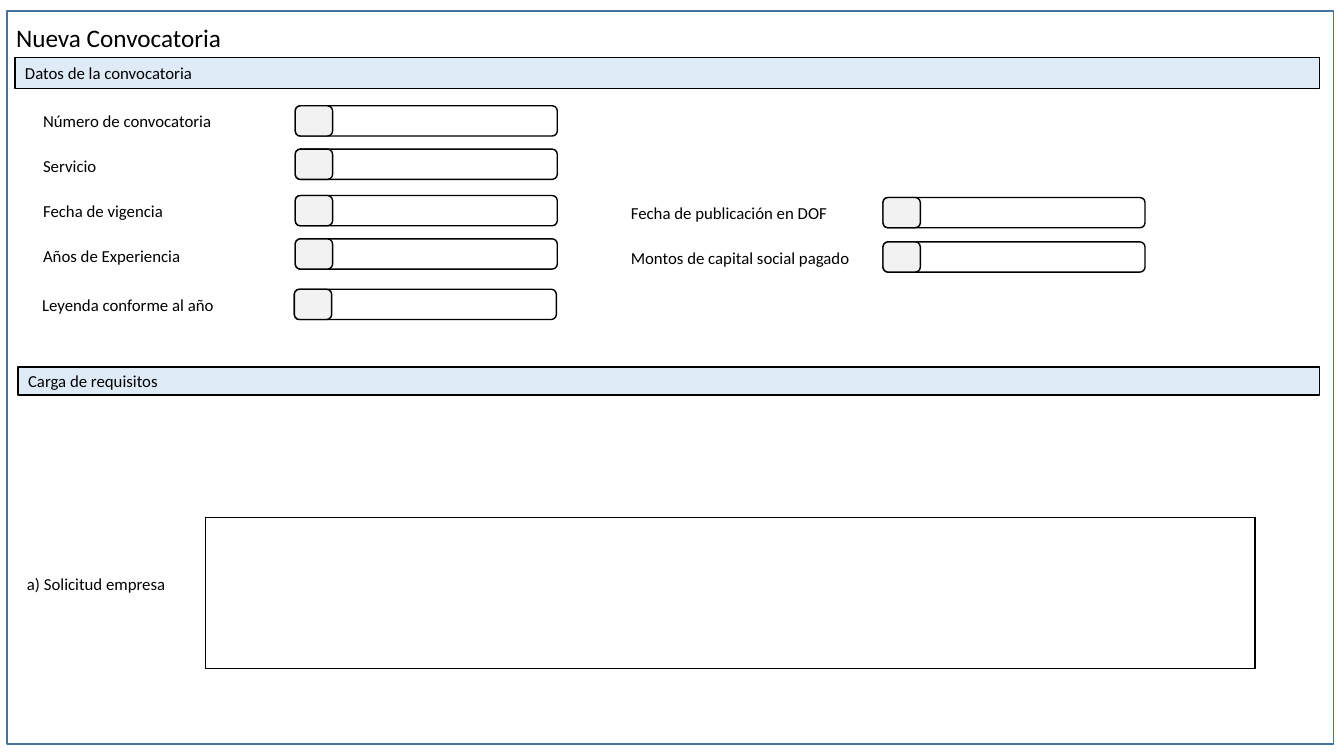
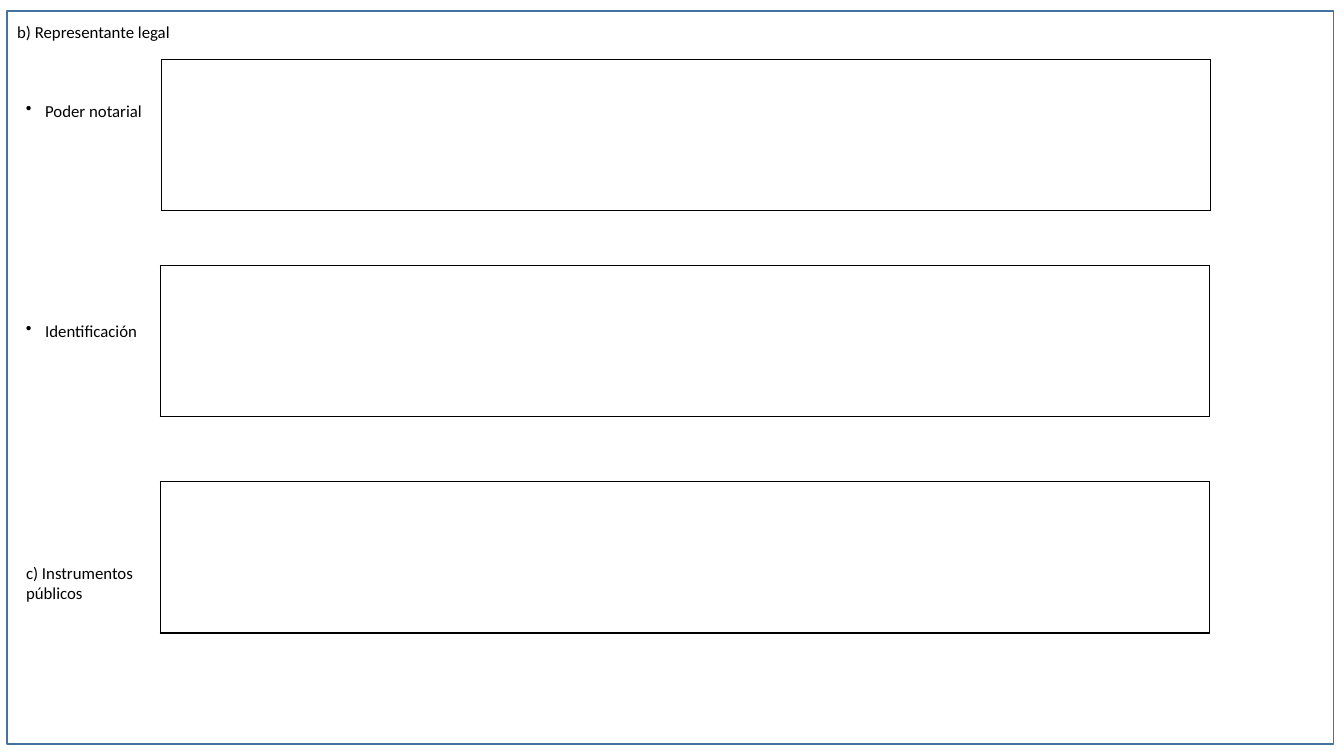
import pptx
import pptx.dml.color
import pptx.enum.shapes
import pptx.enum.text
import pptx.oxml
import pptx.oxml.ns
import pptx.util
from lxml import etree

RGBColor = pptx.dml.color.RGBColor
Shape = pptx.enum.shapes.MSO_SHAPE
Anchor = pptx.enum.text.MSO_ANCHOR
Align = pptx.enum.text.PP_ALIGN

# Shared look
BLACK = RGBColor(0x00, 0x00, 0x00)
WHITE = RGBColor(0xFF, 0xFF, 0xFF)
BAND_BLUE = RGBColor(0xDE, 0xEB, 0xF7)
TAG_GREY = RGBColor(0xF2, 0xF2, 0xF2)
FRAME_BLUE = RGBColor(0x43, 0x73, 0x9E)
FONT = "Calibri"
WIDTH = pptx.util.Inches(13.333)
HEIGHT = pptx.util.Inches(7.5)
TITLE_ONLY = 5

# Shared measures, in percent of the slide's width or height
LINE_HEIGHT = 4
FIELD_WIDTH = 19.5
TAG_WIDTH = 2.78
LABEL_WIDTH = 26.93
BAND_RIGHT = 98.17
PANEL_WIDTH, PANEL_HEIGHT = 78.08, 20

# Label left, label top and box top of each field, with its text
FIELDS = [
    (2.47, 14, 14, "Número de convocatoria"),
    (2.47, 20, 19.73, "Servicio"),
    (2.47, 25.87, 25.87, "Fecha de vigencia"),
    (2.47, 31.87, 31.6, "Años de Experiencia"),
    (2.4, 38.27, 38.27, "Leyenda conforme al año"),
    (46.2, 26.13, 26.13, "Fecha de publicación en DOF"),
    (46.2, 32.13, 32, "Montos de capital social pagado"),
]


def area(left, top, width, height):
    """Turn percentages of the slide into lengths."""
    return (round(WIDTH * left / 100), round(HEIGHT * top / 100),
            round(WIDTH * width / 100), round(HEIGHT * height / 100))


def write(box, text, size=12, anchor=Anchor.TOP, bullet=False):
    """Put formatted text into any box."""
    frame = box.text_frame
    frame.word_wrap = True
    frame.auto_size = pptx.enum.text.MSO_AUTO_SIZE.NONE
    frame.vertical_anchor = anchor
    para = frame.paragraphs[0]
    para.alignment = Align.LEFT
    span = para.add_run()
    span.text = text
    span.font.name = FONT
    span.font.size = pptx.util.Pt(size)
    span.font.color.rgb = BLACK
    if bullet:
        properties = para._p.get_or_add_pPr()
        indent = pptx.util.Inches(0.19)
        properties.set("marL", str(indent))
        properties.set("indent", str(-indent))
        mark = etree.SubElement(properties, pptx.oxml.ns.qn("a:buChar"))
        mark.set("char", "•")


def add_label(page, text, left, top, width, height=LINE_HEIGHT, **style):
    box = page.shapes.add_textbox(*area(left, top, width, height))
    write(box, text, **style)


def add_box(page, kind, place, fill=None, line=BLACK):
    box = page.shapes.add_shape(kind, *area(*place))
    box.shadow.inherit = False
    if fill is None:
        box.fill.background()
    else:
        box.fill.solid()
        box.fill.fore_color.rgb = fill
    box.line.color.rgb = line
    box.line.width = pptx.util.Pt(1)
    return box


def add_band(page, text, left, top, height):
    place = (left, top, BAND_RIGHT - left, height)
    band = add_box(page, Shape.RECTANGLE, place, BAND_BLUE)
    write(band, text, anchor=Anchor.MIDDLE)


def add_field(page, left, label_top, box_top, text):
    """Label with an entry box that starts with a grey tag."""
    for width, fill in ((FIELD_WIDTH, WHITE), (TAG_WIDTH, TAG_GREY)):
        place = (left + FIELD_WIDTH, box_top, width, LINE_HEIGHT)
        add_box(page, Shape.ROUNDED_RECTANGLE, place, fill)
    add_label(page, text, left, label_top, LABEL_WIDTH)


def add_panel(page, left, top):
    """Empty one-cell table with black borders."""
    place = area(left, top, PANEL_WIDTH, PANEL_HEIGHT)
    table = page.shapes.add_table(1, 1, *place).table
    table.first_row = False
    table.horz_banding = False
    cell = table.cell(0, 0)
    cell.fill.background()
    properties = cell._tc.get_or_add_tcPr()
    for index, side in enumerate(("lnL", "lnR", "lnT", "lnB")):
        border = pptx.oxml.parse_xml(
            f'<a:{side} {pptx.oxml.ns.nsdecls("a")} w="{pptx.util.Pt(1)}">'
            f'<a:solidFill><a:srgbClr val="{BLACK}"/></a:solidFill></a:{side}>')
        properties.insert(index, border)


def add_page(deck, title, place, size):
    """Framed page with its title."""
    page = deck.slides.add_slide(deck.slide_layouts[TITLE_ONLY])
    heading = page.shapes.title
    heading.left, heading.top, heading.width, heading.height = area(*place)
    write(heading, title, size=size)
    add_box(page, Shape.RECTANGLE, (0.53, 1.47, 98.7, 96.93), line=FRAME_BLUE)
    return page


def build_call_page(deck):
    page = add_page(deck, "Nueva Convocatoria", (0.45, 2.27, 30.6, 5.33), 18)
    add_band(page, "Datos de la convocatoria", 1.12, 7.6, 4.13)
    for field in FIELDS:
        add_field(page, *field)
    add_band(page, "Carga de requisitos", 1.35, 48.53, 3.73)
    add_panel(page, 15.3, 68.4)
    add_label(page, "a) Solicitud empresa", 1.27, 75.2, 25.28)


def build_representative_page(deck):
    page = add_page(deck, "b) Representante legal", (0.53, 2.27, 25.28, 4), 12)
    for left, top in ((12, 7.87), (11.93, 35.07), (11.93, 63.73)):
        add_panel(page, left, top)
    add_label(page, "Poder notarial", 1.2, 12.67, 33.75, bullet=True)
    add_label(page, "Identificación", 1.2, 41.73, 33.75, bullet=True)
    add_label(page, "c) Instrumentos públicos", 1.2, 73.73, 11.63, height=6.67)


def main():
    deck = pptx.Presentation()
    deck.slide_width = WIDTH
    deck.slide_height = HEIGHT
    build_call_page(deck)
    build_representative_page(deck)
    deck.save("out.pptx")


main()
